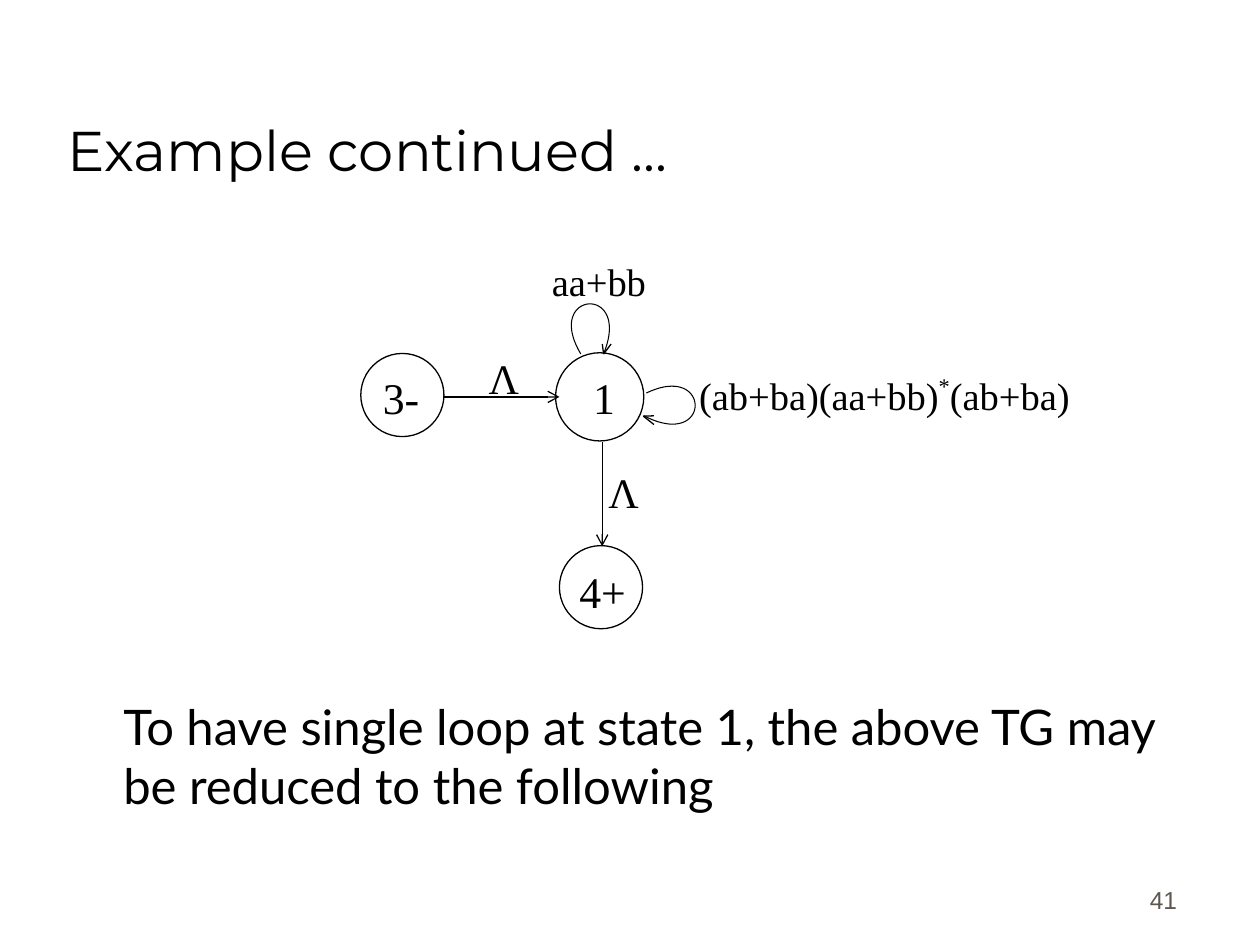
from dataclasses import dataclass

from lxml.etree import SubElement
from pptx import Presentation
from pptx.dml.color import RGBColor
from pptx.enum.shapes import MSO_CONNECTOR as Link, MSO_SHAPE as Kind
from pptx.enum.text import MSO_ANCHOR as Anchor, PP_ALIGN as Align
from pptx.oxml.ns import qn
from pptx.util import Pt

BLACK = RGBColor(0x00, 0x00, 0x00)
WHITE = RGBColor(0xFF, 0xFF, 0xFF)
GREY = RGBColor(0x5E, 0x57, 0x4E)
SERIF = "Times New Roman"
THIN, FINE = 0.75, 0.6

Point = tuple[float, float]


@dataclass
class Label:
    text: str
    box: tuple[float, float, float, float]
    size: float
    face: str = SERIF
    color: RGBColor = BLACK
    wrap: bool = True
    anchor: Anchor = Anchor.TOP
    align: Align = Align.LEFT


@dataclass
class State:
    left: float
    top: float
    size: float


@dataclass
class Loop:
    """A Bezier curve with the outer ends of its arrowhead strokes."""
    curve: tuple[Point, Point, Point, Point]
    tip: Point
    barbs: tuple[Point, Point]


STATES = [
    State(317.5, 201.6, 50.4),
    State(319.7, 311.8, 47.5),
    State(206.2, 202, 47.5),
]

EDGES = [
    ((253.4, 226.8), (319.7, 226.8)),
    ((344.1, 252.7), (344.1, 312.2)),
]

LOOPS = [
    Loop(((331.9, 202.3), (310.3, 166.3), (361.4, 162), (344.9, 202.3)),
         (344.9, 202.3), ((349.2, 196.6), (344.2, 196.6))),
    Loop(((369.4, 224.6), (406.8, 206.6), (406.8, 257.8), (367.9, 237.6)),
         (367.6, 237.8), ((373.7, 242.6), (373.7, 237.6))),
]

LABELS = [
    Label("41", (529.9, 490.3, 149.8, 36), 14, "Arial", GREY,
          anchor=Anchor.BOTTOM, align=Align.RIGHT),
    Label("Example continued ...", (31.7, 18, 612, 90), 32, "Montserrat",
          anchor=Anchor.BOTTOM),
    Label("To have single loop at state 1, the above TG may be reduced "
          "to the following", (63.4, 394.6, 616.3, 82), 28, "Lato"),
    Label("aa+bb", (308.2, 144, 70.6, 48.2), 22),
    Label("Λ", (272.2, 198, 31.7, 36), 24, wrap=False),
    Label("Λ", (340.6, 262.8, 31.7, 36), 24, wrap=False),
    Label("4+", (324, 319, 41, 37.4), 25, wrap=False),
    Label("3-", (211.7, 208.1, 35.3, 37.4), 25, wrap=False),
    Label("1", (331.9, 208.1, 26.6, 37.4), 25, wrap=False),
    Label("(ab+ba)(aa+bb)*(ab+ba)", (392.4, 208.8, 267.8, 48.2), 22),
]


def style(item: object, **values: object) -> None:
    for name, value in values.items():
        setattr(item, name, value)


def ink(shape, width: float) -> None:
    shape.line.color.rgb = BLACK
    shape.line.width = Pt(width)


def add_label(shapes, label: Label) -> None:
    """Add a text box; a star in the text is raised."""
    frame = shapes.add_textbox(*map(Pt, label.box)).text_frame
    style(frame, word_wrap=label.wrap, vertical_anchor=label.anchor)
    para = frame.paragraphs[0]
    para.alignment = label.align
    head, star, rest = label.text.partition("*")
    for part in filter(None, (head, star, rest)):
        run = para.add_run()
        run.text = part
        style(run.font, name=label.face, size=Pt(label.size))
        run.font.color.rgb = label.color
        if part == "*":
            run.font._element.set("baseline", "40000")


def add_state(shapes, state: State) -> None:
    disc = shapes.add_shape(Kind.OVAL, Pt(state.left), Pt(state.top),
                            Pt(state.size), Pt(state.size))
    disc.shadow.inherit = False
    disc.fill.solid()
    disc.fill.fore_color.rgb = WHITE
    ink(disc, THIN)


def add_line(shapes, start: Point, end: Point, arrow: bool = False) -> None:
    line = shapes.add_connector(Link.STRAIGHT, *map(Pt, start + end))
    ink(line, THIN)
    if arrow:
        SubElement(line.line._get_or_add_ln(), qn("a:tailEnd"),
                   type="arrow", w="med", len="med")
    SubElement(line._element.spPr, qn("a:effectLst"))


def bezier(curve: tuple[Point, ...], t: float) -> Point:
    u = 1 - t
    parts = (u ** 3, 3 * u * u * t, 3 * u * t * t, t ** 3)
    x, y = (sum(k * p[axis] for k, p in zip(parts, curve))
            for axis in (0, 1))
    return Pt(x), Pt(y)


def add_loop(shapes, loop: Loop, steps: int = 40) -> None:
    dots = [bezier(loop.curve, i / steps) for i in range(steps + 1)]
    path = shapes.build_freeform(*dots[0])
    path.add_line_segments(dots[1:], close=False)
    arc = path.convert_to_shape()
    arc.shadow.inherit = False
    arc.fill.background()
    ink(arc, FINE)
    for barb in loop.barbs:
        add_line(shapes, barb, loop.tip)


def main() -> None:
    deck = Presentation()
    style(deck, slide_width=Pt(720), slide_height=Pt(540))
    shapes = deck.slides.add_slide(deck.slide_layouts[6]).shapes
    for state in STATES:
        add_state(shapes, state)
    for start, end in EDGES:
        add_line(shapes, start, end, arrow=True)
    for loop in LOOPS:
        add_loop(shapes, loop)
    for label in LABELS:
        add_label(shapes, label)
    deck.save("out.pptx")


if __name__ == "__main__":
    main()
